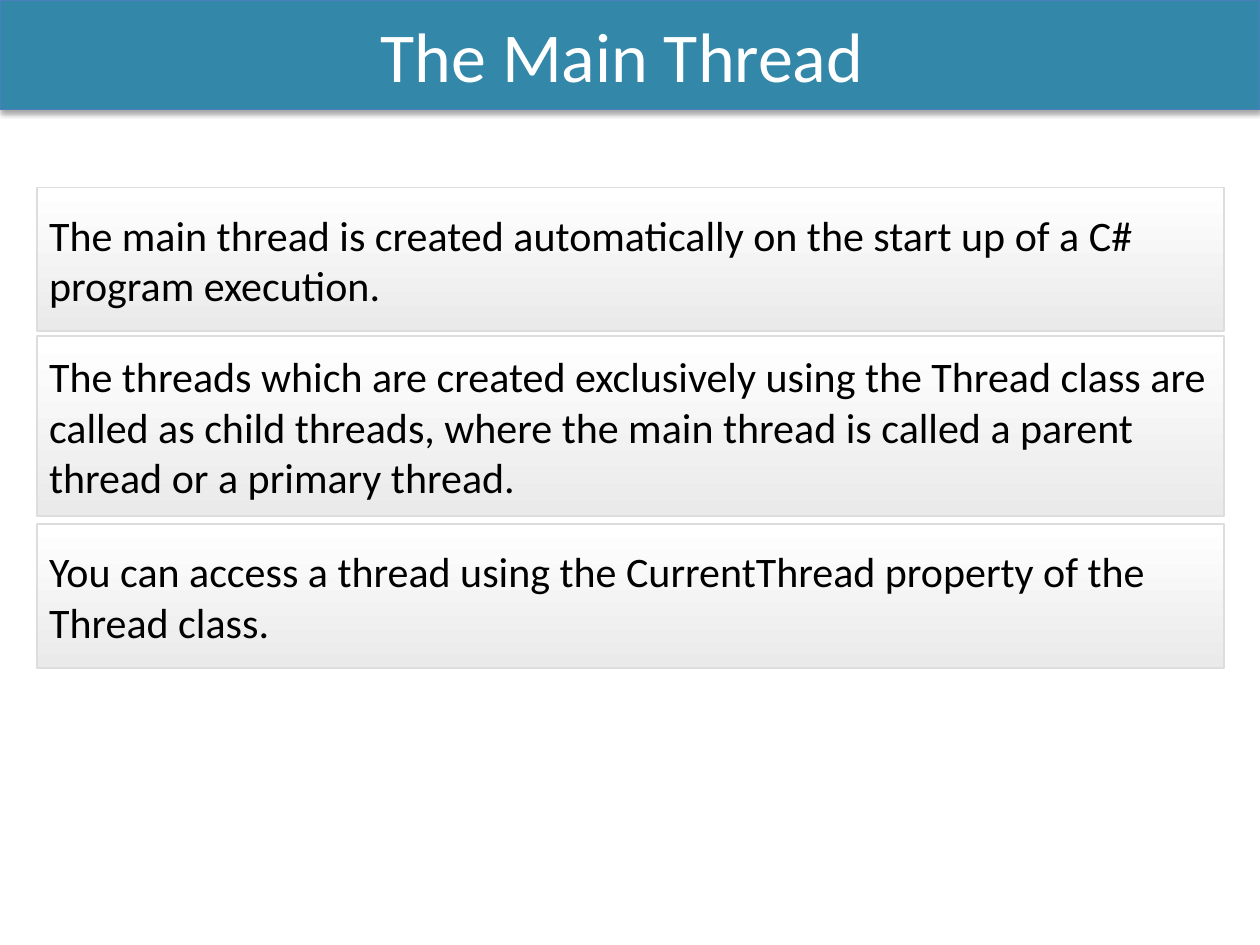
from lxml.etree import SubElement
from pptx import Presentation
from pptx.dml.color import RGBColor
from pptx.enum.shapes import MSO_SHAPE
from pptx.enum.text import MSO_ANCHOR, PP_ALIGN
from pptx.oxml.ns import qn
from pptx.util import Cm, Pt

COLORS = {
    "banner": "3388A9", "banner_line": "4B7EBC", "title": "FFFFFF",
    "panel_top": "FFFFFF", "panel_bottom": "EAEAEA", "panel_line": "DDDDDD",
    "text": "000000", "shadow": "000000",
}
FONT = "Calibri"
PANEL_LEFT, PANEL_WIDTH = 0.74, 23.93
# top and height in cm, text
PANELS = [
    (3.78, 2.9, "The main thread is created automatically on the start up of "
                "a C# program execution."),
    (6.78, 3.63, "The threads which are created exclusively using the Thread "
                 "class are called as child threads, where the main thread is "
                 "called a parent thread or a primary thread."),
    (10.57, 2.9, "You can access a thread using the CurrentThread property of "
                 "the Thread class."),
]


def rgb(name):
    """Return the named colour."""
    return RGBColor.from_string(COLORS[name])


def add_box(slide, left, top, width, height, line, line_width):
    """Add an outlined rectangle without a shadow; lengths in cm."""
    sp = slide.shapes.add_shape(
        MSO_SHAPE.RECTANGLE, Cm(left), Cm(top), Cm(width), Cm(height))
    sp.shadow.inherit = False
    sp.line.color.rgb = rgb(line)
    sp.line.width = Pt(line_width)
    return sp


def set_text(sp, text, size, color, align):
    """Write one vertically centred paragraph into a shape."""
    tf = sp.text_frame
    tf.word_wrap = True
    tf.vertical_anchor = MSO_ANCHOR.MIDDLE
    p = tf.paragraphs[0]
    p.text = text
    p.alignment = align
    p.font.name = FONT
    p.font.size = Pt(size)
    p.font.color.rgb = rgb(color)


def add_shadow(sp, blur, distance, opacity):
    """Give a shape a soft shadow straight below it; lengths in points."""
    effects = sp._element.spPr.find(qn("a:effectLst"))
    shadow = SubElement(
        effects, qn("a:outerShdw"), blurRad=str(Pt(blur)),
        dist=str(Pt(distance)), dir=str(90 * 60000), rotWithShape="0")
    color = SubElement(shadow, qn("a:srgbClr"), val=COLORS["shadow"])
    SubElement(color, qn("a:alpha"), val=str(opacity * 1000))


def add_banner(slide, title):
    """Add the title banner across the top."""
    sp = add_box(slide, 0, 0, 25.4, 2.21, "banner_line", 0.75)
    sp.fill.solid()
    sp.fill.fore_color.rgb = rgb("banner")
    add_shadow(sp, 3.1, 1.8, 35)
    set_text(sp, title, 40, "title", PP_ALIGN.CENTER)


def add_panel(slide, top, height, text):
    """Add a text panel with a vertical gradient."""
    sp = add_box(slide, PANEL_LEFT, top, PANEL_WIDTH, height, "panel_line", 1)
    sp.fill.gradient()
    sp.fill.gradient_angle = 270
    for stop, name in zip(sp.fill.gradient_stops, ("panel_top", "panel_bottom")):
        stop.color.rgb = rgb(name)
    set_text(sp, text, 24, "text", PP_ALIGN.LEFT)


def main():
    """Build and save the slide."""
    prs = Presentation()
    prs.slide_width, prs.slide_height = Cm(25.4), Cm(19.05)
    slide = prs.slides.add_slide(prs.slide_layouts[6])
    add_banner(slide, "The Main Thread ")
    for top, height, text in PANELS:
        add_panel(slide, top, height, text)
    prs.save("out.pptx")


main()
